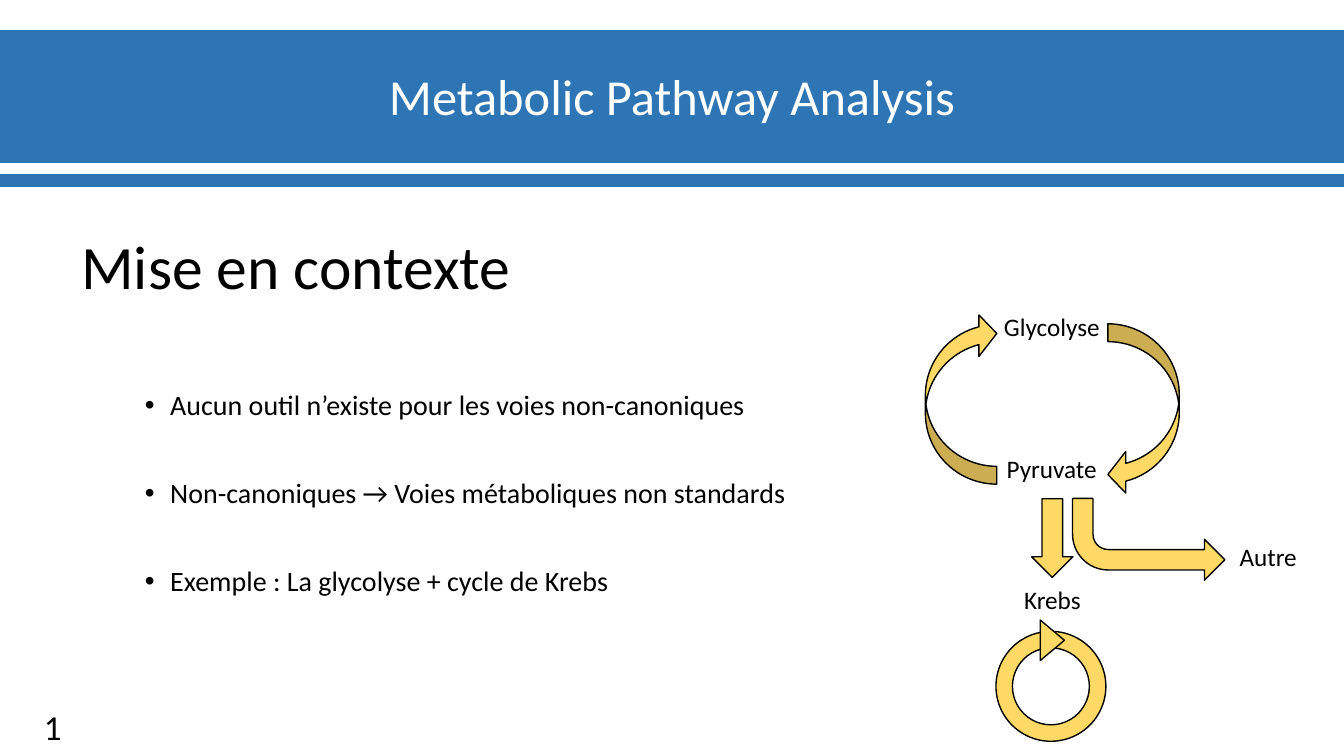
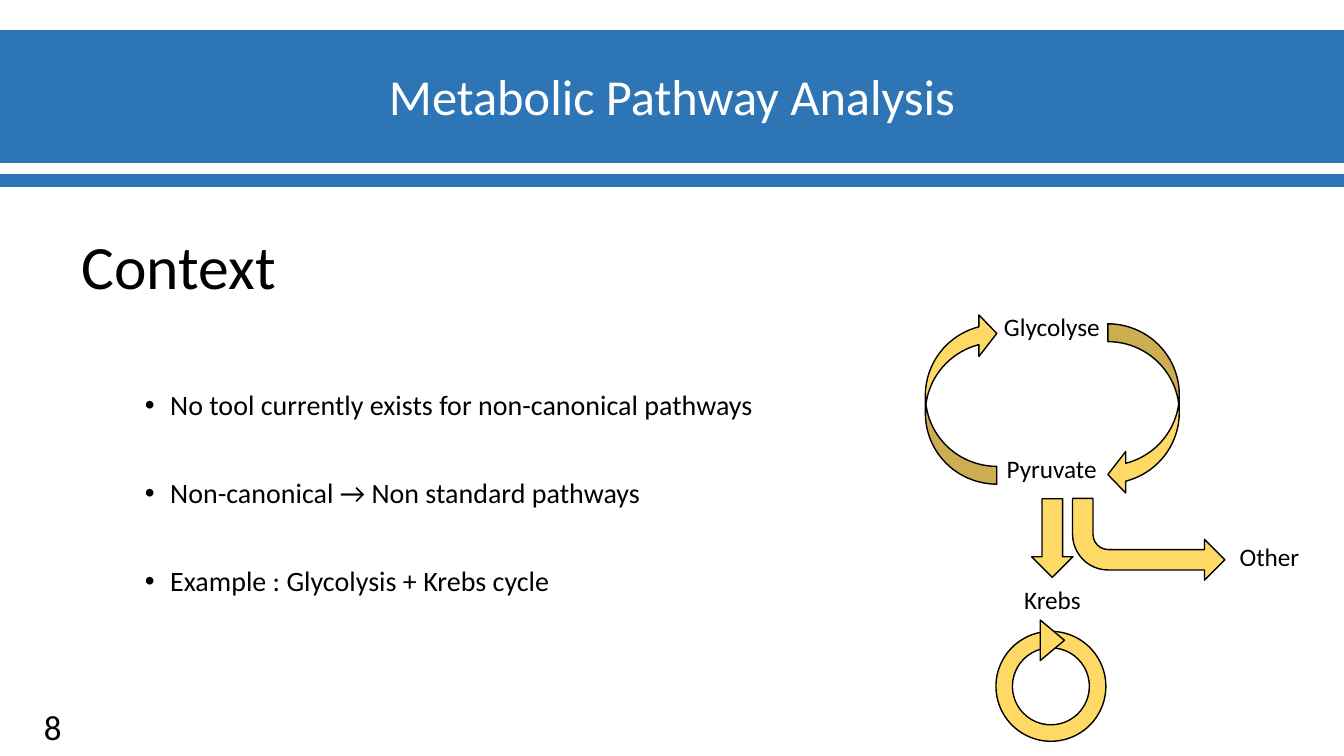
from lxml.etree import SubElement
from pptx import Presentation
from pptx.dml.color import RGBColor
from pptx.enum.shapes import MSO_SHAPE
from pptx.enum.text import MSO_ANCHOR, PP_ALIGN
from pptx.oxml.ns import qn
from pptx.util import Cm, Pt

COLORS = {"band": "2E75B6", "arrow": "FFD966", "text": "000000",
          "header": "FFFFFF"}
FONT = "Calibri"
SLIDE_WIDTH, SLIDE_HEIGHT = 33.87, 19.05


def color(name):
    """Return the named palette colour."""
    return RGBColor.from_string(COLORS[name])


def add_run(paragraph, text, size, color_name="text"):
    """Add one formatted run to a paragraph."""
    run = paragraph.add_run()
    run.text = text
    run.font.name = FONT
    run.font.size = Pt(size)
    run.font.color.rgb = color(color_name)


def add_frame(slide, box, wrap=True, anchor=MSO_ANCHOR.TOP):
    """Add a text box and return its text frame."""
    frame = slide.shapes.add_textbox(*map(Cm, box)).text_frame
    frame.word_wrap = wrap
    frame.vertical_anchor = anchor
    return frame


def add_text(slide, box, text, size, color_name="text", align=PP_ALIGN.LEFT,
             **frame_options):
    """Add a one-paragraph text box and return the paragraph."""
    paragraph = add_frame(slide, box, **frame_options).paragraphs[0]
    paragraph.alignment = align
    add_run(paragraph, text, size, color_name)
    return paragraph


def add_figure(slide, kind, box, fill, line, rotation=0, adjustments=()):
    """Add a filled, outlined preset shape."""
    shape = slide.shapes.add_shape(kind, *map(Cm, box))
    shape.shadow.inherit = False
    shape.fill.solid()
    shape.fill.fore_color.rgb = color(fill)
    shape.line.color.rgb = color(line)
    shape.line.width = Pt(1)
    shape.rotation = rotation
    for index, value in enumerate(adjustments):
        shape.adjustments[index] = value
    return shape


def add_header(slide):
    """Draw the two bands and the project name."""
    for top, height in ((4.4, 0.29), (0.77, 3.33)):
        add_figure(slide, MSO_SHAPE.RECTANGLE, (0, top, SLIDE_WIDTH, height),
                   "band", "band")
    add_text(slide, (9.04, 1.5, 15.8, 1.8), "Metabolic Pathway Analysis", 36,
             "header", PP_ALIGN.CENTER, anchor=MSO_ANCHOR.MIDDLE)


def add_bullets(slide, box, items):
    """Write evenly spaced, justified bullet points."""
    frame = add_frame(slide, box)
    for index, item in enumerate(items):
        paragraph = frame.add_paragraph() if index else frame.paragraphs[0]
        paragraph.alignment = PP_ALIGN.JUSTIFY
        paragraph.line_spacing = 0.9
        paragraph.space_before = Pt(41.5 if index else 10)
        properties = paragraph._p.get_or_add_pPr()
        properties.set("marL", str(Cm(0.64)))
        properties.set("indent", str(-Cm(0.64)))
        SubElement(properties, qn("a:buFont"), typeface="Arial")
        SubElement(properties, qn("a:buChar"), char="•")
        add_run(paragraph, item, 20)


def add_pathway(slide, left, top, branch_label):
    """Draw the glycolysis and Krebs diagram from its top left corner."""
    labels = (("Glycolyse", 1.73, 0, 2.95), ("Pyruvate", 1.8, 3.58, 2.79),
              ("Krebs", 2.24, 6.88, 1.96))
    for text, x, y, width in labels:
        add_text(slide, (left + x, top + y, width, 1.02), text, 18, wrap=False)
    add_text(slide, (left + 7.67, top + 5.79, 2.4, 1.02), branch_label, 18)

    def add_part(kind, x, y, width, height, rotation=0, adjustments=()):
        """Add one yellow part, offset from the diagram corner."""
        return add_figure(slide, kind, (left + x, top + y, width, height),
                          "arrow", "text", rotation, adjustments)

    for x, y, rotation in ((0, 0.15, 180), (4.6, 0.43, 0)):
        add_part(MSO_SHAPE.CURVED_LEFT_ARROW, x, y, 1.8, 4.32, rotation,
                 (0.25, 0.58, 0.25))
    add_part(MSO_SHAPE.RIGHT_ARROW, 2.21, 5.31, 1.98, 1.04, 90)
    add_part(MSO_SHAPE.DONUT, 1.78, 8.18, 2.77, 2.77, adjustments=(0.15,))
    add_part(MSO_SHAPE.ISOSCELES_TRIANGLE, 2.69, 8.1, 1.02, 0.61, 90)
    branch = add_part(MSO_SHAPE.BENT_ARROW, 3.71, 4.83, 3.84, 2.06, 180)
    branch._element.spPr.find(qn("a:xfrm")).set("flipH", "1")


def add_context_slide(presentation, number, title, bullets, branch_label):
    """Build one context slide in the given language."""
    slide = presentation.slides.add_slide(presentation.slide_layouts[6])
    add_header(slide)
    add_text(slide, (0.38, 17.81, 1.42, 1.02), number, 25,
             align=PP_ALIGN.RIGHT, anchor=MSO_ANCHOR.MIDDLE)
    heading = add_text(slide, (1.8, 5.84, 12.4, 2.03), title, 44)
    heading.line_spacing = 0.9
    add_bullets(slide, (3.4, 9.73, 20.57, 6.17), bullets)
    add_pathway(slide, 23.32, 7.73, branch_label)


presentation = Presentation()
presentation.slide_width = Cm(SLIDE_WIDTH)
presentation.slide_height = Cm(SLIDE_HEIGHT)
add_context_slide(presentation, "1", "Mise en contexte", (
    "Aucun outil n’existe pour les voies non-canoniques",
    "Non-canoniques → Voies métaboliques non standards",
    "Exemple : La glycolyse + cycle de Krebs"), "Autre")
add_context_slide(presentation, "8", "Context", (
    "No tool currently exists for non-canonical pathways",
    "Non-canonical → Non standard pathways",
    "Example : Glycolysis + Krebs cycle"), "Other")
presentation.save("out.pptx")
